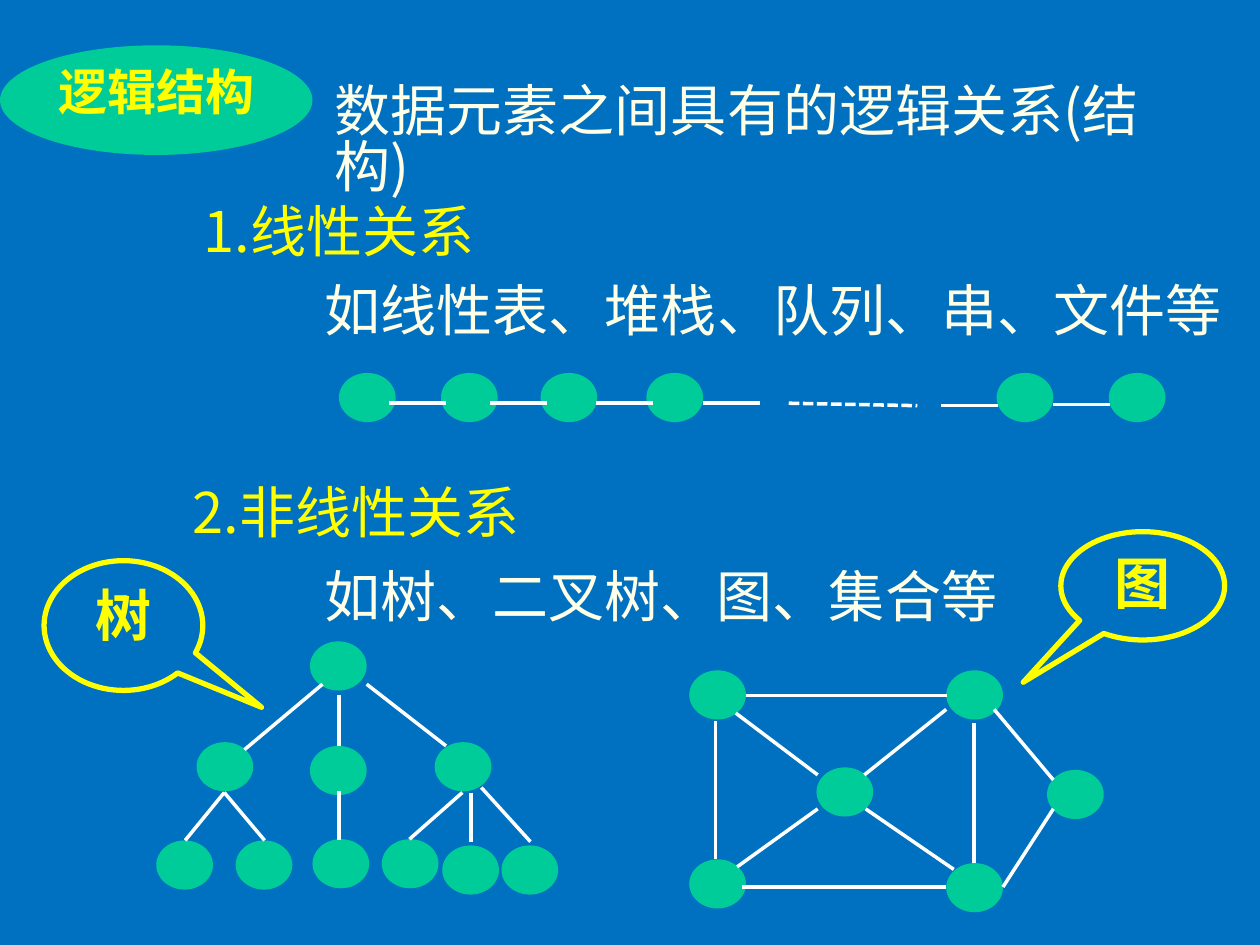
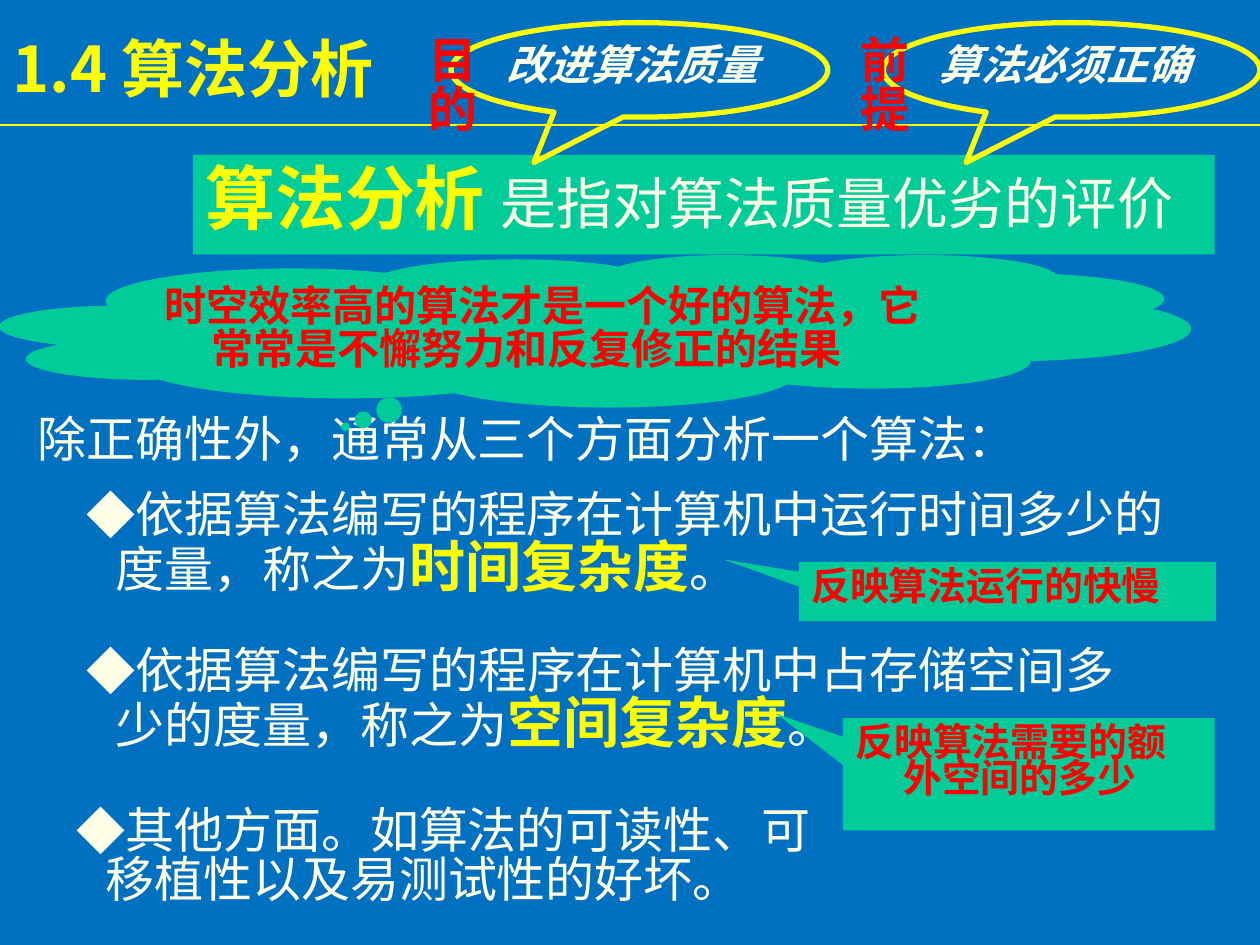
from lxml import etree
from pptx import Presentation
from pptx.dml.color import RGBColor
from pptx.enum.dml import MSO_LINE
from pptx.enum.shapes import MSO_CONNECTOR, MSO_SHAPE
from pptx.enum.text import MSO_ANCHOR, PP_ALIGN
from pptx.oxml.ns import qn
from pptx.util import Inches, Pt

LEFT, CENTER = PP_ALIGN.LEFT, PP_ALIGN.CENTER
TOP, MIDDLE = MSO_ANCHOR.TOP, MSO_ANCHOR.MIDDLE
STRAIGHT, DASH = MSO_CONNECTOR.STRAIGHT, MSO_LINE.SQUARE_DOT
OVAL, RECT = MSO_SHAPE.OVAL, MSO_SHAPE.RECTANGLE
ELLIPSE_CALLOUT = MSO_SHAPE.OVAL_CALLOUT
RECT_CALLOUT = MSO_SHAPE.RECTANGULAR_CALLOUT
CLOUD = MSO_SHAPE.CLOUD_CALLOUT

FONT = "Noto Sans CJK SC"
COLORS = {"blue": "0070C0", "green": "00CC99", "yellow": "FFFF00",
          "cream": "FFFFE7", "white": "FEFFFF", "red": "FF0000"}
TITLE_ONLY, BLANK = 5, 6
NODE_W, NODE_H = 0.45, 0.39
HANG, BULLET_HANG = 0.38, 0.23
LINE_SPACING = 0.84
EM_SHIFT = 0.1


def rgb(name):
    return RGBColor.from_string(COLORS[name])


class Deck:
    def __init__(self):
        self.prs = Presentation()
        self.prs.slide_width, self.prs.slide_height = Inches(10), Inches(7.5)
        self.s = None

    def new_slide(self, layout):
        self.s = self.prs.slides.add_slide(self.prs.slide_layouts[layout])
        fill = self.s.background.fill
        fill.solid()
        fill.fore_color.rgb = rgb("blue")

    def fill_text(self, sp, runs, ins=(0.1, 0.05, 0.1, 0.05), align=LEFT, anchor=TOP,
                  hang=0, bullet=None, spacing=1, shift=True):
        tf = sp.text_frame
        size = runs[0][1]
        down = size * EM_SHIFT / 72 if shift else 0
        frame = {"word_wrap": True, "vertical_anchor": anchor,
                 "margin_left": Inches(ins[0]), "margin_top": Inches(ins[1] + down),
                 "margin_right": Inches(ins[2]), "margin_bottom": Inches(ins[3])}
        for key, value in frame.items():
            setattr(tf, key, value)
        p = tf.paragraphs[0]
        p.alignment, p.line_spacing = align, round(spacing * LINE_SPACING, 2)
        p.space_before = Pt(0)
        pPr = p._p.get_or_add_pPr()
        if hang:
            pPr.set("marL", str(Inches(hang)))
            pPr.set("indent", str(-Inches(hang)))
        if bullet:
            color = etree.SubElement(pPr, qn("a:buClr"))
            etree.SubElement(color, qn("a:srgbClr"), val=COLORS["cream"])
            etree.SubElement(pPr, qn("a:buFont"), typeface=FONT)
            etree.SubElement(pPr, qn("a:buChar"), char=bullet)
        for text, size, color, bold, italic in runs:
            r = p.add_run()
            r.text = text
            style = {"size": Pt(size), "bold": bold, "italic": italic, "name": FONT}
            for key, value in style.items():
                setattr(r.font, key, value)
            r.font.color.rgb = rgb(color)
            etree.SubElement(r._r.get_or_add_rPr(), qn("a:ea"), typeface=FONT)

    def title(self, box, text):
        sp = self.s.shapes.title
        sp.left, sp.top, sp.width, sp.height = map(Inches, box)
        self.fill_text(sp, [run(text, 36, "yellow", True)], anchor=MIDDLE)

    def text(self, box, runs, vertical=False, **style):
        sp = self.s.shapes.add_textbox(*map(Inches, box))
        self.fill_text(sp, runs, shift=not vertical, **style)
        if vertical:
            sp.text_frame._txBody.bodyPr.set("vert", "eaVert")

    def shape(self, kind, box, runs=None, fill=None, line=None, adj=(), **style):
        sp = self.s.shapes.add_shape(kind, *map(Inches, box))
        sp.shadow.inherit = False
        for i, value in enumerate(adj):
            sp.adjustments[i] = value
        if fill:
            sp.fill.solid()
            sp.fill.fore_color.rgb = rgb(fill)
        else:
            sp.fill.background()
        if line:
            sp.line.color.rgb = rgb(line)
            sp.line.width = Pt(3)
        else:
            sp.line.fill.background()
        if runs:
            self.fill_text(sp, runs, hang=HANG, **style)

    def nodes(self, places):
        for x, y in places:
            self.shape(OVAL, (x, y, NODE_W, NODE_H), fill="green")

    def line(self, ends, color="white", width=2, dash=None):
        c = self.s.shapes.add_connector(STRAIGHT, *map(Inches, ends))
        c.line.color.rgb = rgb(color)
        c.line.width = Pt(width)
        if dash:
            c.line.dash_style = dash
        etree.SubElement(c._element.spPr, qn("a:effectLst"))

    def lines(self, edges):
        for ends in edges:
            self.line(ends)


def run(text, size, color, bold=False, italic=False):
    return text, size, color, bold, italic


def structure_slide(deck):
    deck.new_slide(BLANK)
    deck.text((2.56, 0.59, 7.44, 1.17),
              [run("数据元素之间具有的逻辑关系(结构)", 32, "cream")],
              ins=(0.1, 0.05, 0.6, 0.05))
    deck.shape(OVAL, (0, 0.36, 2.48, 0.87), [run("逻辑结构", 28, "yellow", True)],
               fill="green", align=CENTER, ins=(0, 0.04, 0, 0.04))
    for box, text, color in (
            ((2.48, 2.18, 7.35, 0.64), "如线性表、堆栈、队列、串、文件等", "cream"),
            ((2.48, 4.45, 5.83, 0.64), "如树、二叉树、图、集合等", "cream"),
            ((1.52, 1.55, 2.46, 0.64), "1.线性关系", "yellow"),
            ((1.43, 3.78, 2.9, 0.64), "2.非线性关系", "yellow")):
        deck.text(box, [run(text, 32, color)])

    deck.nodes((x, 2.96) for x in (2.69, 3.5, 4.29, 5.13, 7.91, 8.8))
    deck.lines((x, y, x + 0.45, y) for x, y in (
        (3.09, 3.2), (3.89, 3.2), (4.73, 3.2), (5.58, 3.2), (7.47, 3.22), (8.36, 3.21)))
    deck.line((6.26, 3.2, 7.28, 3.22), dash=DASH)

    graph_nodes = ((5.47, 5.32), (7.51, 5.32), (6.48, 6.09),
                   (8.31, 6.11), (5.47, 6.82), (7.51, 6.85))
    graph_edges = ((7.73, 5.74, 7.73, 6.85), (8.36, 6.42, 7.96, 7.04),
                   (7.89, 5.63, 8.36, 6.19), (5.68, 5.72, 5.68, 6.82),
                   (6.87, 6.42, 7.57, 6.9), (6.49, 6.42, 5.85, 6.88),
                   (5.84, 5.66, 6.49, 6.15), (5.92, 5.52, 7.52, 5.52),
                   (7.51, 5.63, 6.86, 6.15), (5.89, 7.04, 7.51, 7.04))
    tree_nodes = ((2.46, 5.09), (1.56, 5.89), (2.46, 5.92), (3.45, 5.89),
                  (1.24, 6.67), (1.87, 6.67), (2.48, 6.66), (3.03, 6.66),
                  (3.51, 6.71), (3.98, 6.71))
    tree_edges = ((2.69, 5.52, 2.69, 5.92), (2.56, 5.43, 1.94, 5.95),
                  (2.91, 5.43, 3.54, 5.92), (2.69, 6.28, 2.69, 6.67),
                  (3.67, 6.29, 3.25, 6.66), (1.78, 6.29, 1.47, 6.67),
                  (1.78, 6.29, 2.1, 6.67), (3.82, 6.25, 4.21, 6.68),
                  (3.74, 6.29, 3.74, 6.68))
    for nodes, edges in ((graph_nodes, graph_edges), (tree_nodes, tree_edges)):
        deck.nodes(nodes)
        deck.lines(edges)

    for box, adj, text in (((8.42, 4.22, 1.3, 0.86), (-0.73, 0.89), "图"),
                           ((0.35, 4.45, 1.26, 1.03), (0.87, 0.63), "树")):
        deck.shape(ELLIPSE_CALLOUT, box, [run(text, 32, "yellow", True)],
                   line="yellow", adj=adj, align=CENTER)


def analysis_slide(deck):
    deck.new_slide(TITLE_ONLY)
    deck.title((0, 0.18, 3.35, 0.75), "1.4 算法分析")
    deck.line((0, 0.99, 10, 0.99), "yellow", 1)
    deck.shape(RECT, (1.53, 1.23, 8.11, 0.79),
               [run("算法分析 ", 40, "yellow", True),
                run("是指对算法质量优劣的评价", 32, "cream")], fill="green")

    for x, label, text in ((3.58, "目的", "改进算法质量"), (7.01, "前提", "算法必须正确")):
        deck.shape(ELLIPSE_CALLOUT, (x, 0.18, 2.99, 0.75),
                   [run(text, 24, "cream", True, True)], line="yellow",
                   adj=(-0.28, 0.98), ins=(0, 0.05, 0, 0.05))
        deck.text((x - 0.45, 0.18, 0.66, 1.05), [run(label, 28, "red", True)],
                  vertical=True, ins=(0.05, 0.1, 0.05, 0.1))

    deck.text((0.2, 3.23, 8.01, 0.57),
              [run("除正确性外，通常从三个方面分析一个算法：", 28, "cream")])
    for box, text, term in (
            ((0.59, 3.82, 8.74, 1.1),
             "依据算法编写的程序在计算机中运行时间多少的度量，称之为", "时间复杂度"),
            ((0.59, 5.06, 8.51, 1.1),
             "依据算法编写的程序在计算机中占存储空间多少的度量，称之为", "空间复杂度"),
            ((0.51, 6.33, 6.06, 1.04),
             "其他方面。如算法的可读性、可移植性以及易测试性的好坏。", None)):
        runs = [run(text, 28, "cream")]
        if term:
            runs += [run(term, 32, "yellow", True), run("。", 28, "cream")]
        deck.text(box, runs, hang=BULLET_HANG, bullet="◆", ins=(0.1, 0.05, 0.05, 0.05))

    for box, text in (((6.34, 4.46, 3.31, 0.47), "反映算法运行的快慢"),
                      ((6.69, 5.7, 2.95, 0.89), "反映算法需要的额外空间的多少")):
        deck.shape(RECT_CALLOUT, box, [run(text, 22.2, "red", True)], fill="green",
                   adj=(-0.68, -0.54), spacing=0.9)
    deck.shape(CLOUD, (0, 2.02, 9.45, 1.21),
               [run("时空效率高的算法才是一个好的算法，它常常是不懈努力和反复修正的结果",
                    24, "red", True)],
               fill="green", adj=(-0.21, 0.63), ins=(0, 0.05, 0, 0.05))


def main():
    deck = Deck()
    structure_slide(deck)
    analysis_slide(deck)
    deck.prs.save("out.pptx")


if __name__ == "__main__":
    main()
